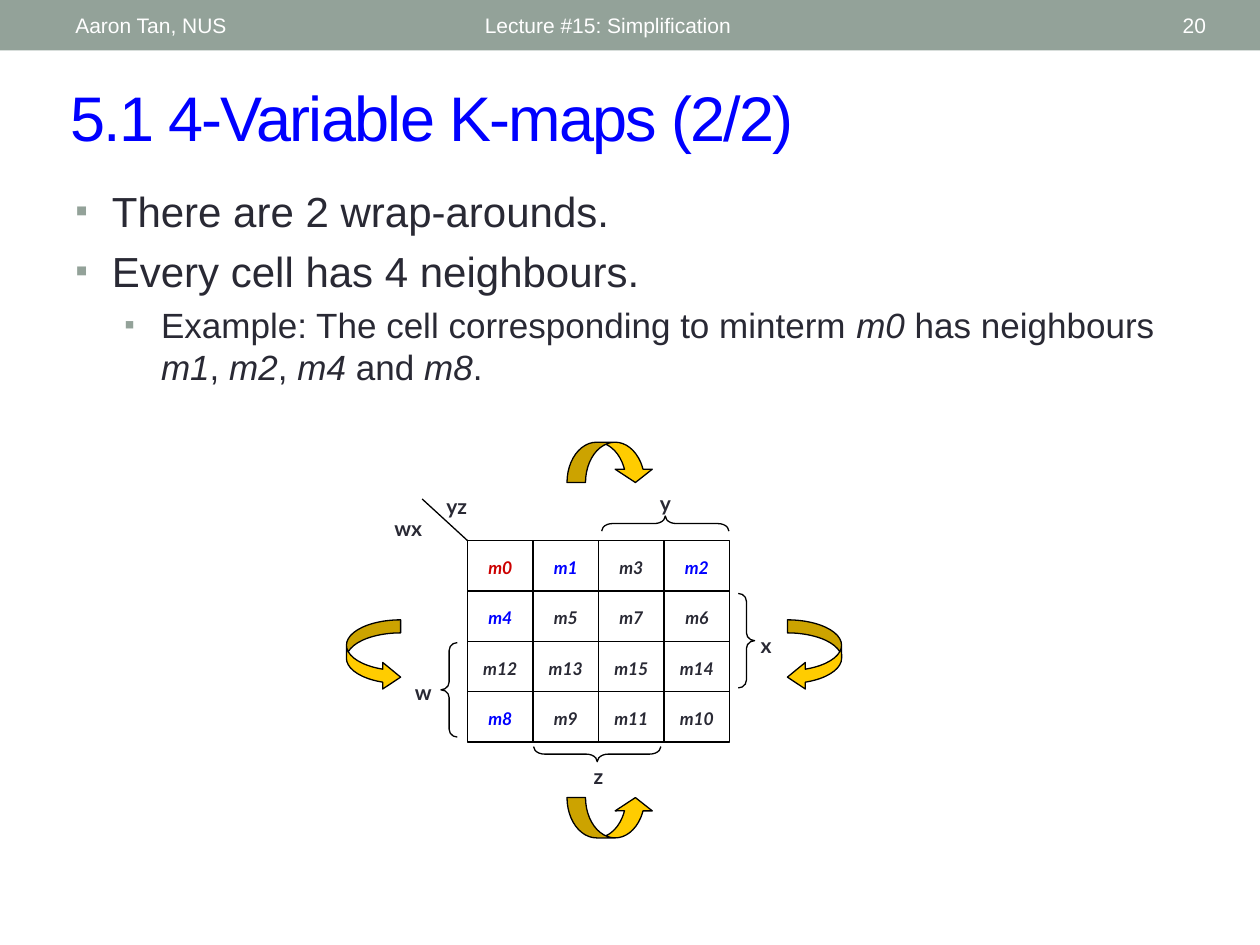
from typing import NamedTuple

from lxml import etree
from pptx import Presentation
from pptx import util as u
from pptx.dml.color import RGBColor
from pptx.enum import shapes, text
from pptx.oxml import ns

SAGE, INK, BLUE, RED = "93A299", "292934", "0000FF", "CC0000"
GOLD, BLACK, WHITE = "FFCC00", "000000", "FFFFFF"
ALIGN = text.PP_ALIGN
KIND = shapes.MSO_SHAPE


class Box(NamedTuple):
    x: float
    y: float
    w: float
    h: float


class Label(NamedTuple):
    text: str
    box: Box


class Figure(NamedTuple):
    kind: shapes.MSO_SHAPE
    box: Box
    adj: tuple
    rotation: int = 0
    flip: str = ""
    fill: str = ""


class Bullet(NamedTuple):
    runs: list
    size: int
    indent: float
    before: float


GRID = Box(3.71, 4.29, 2.08, 1.6)
CELL_W, CELL_H = GRID.w / 4, GRID.h / 4
MINTERMS = [[0, 1, 3, 2], [4, 5, 7, 6], [12, 13, 15, 14], [8, 9, 11, 10]]
CELL_COLORS = {0: RED, 1: BLUE, 2: BLUE, 4: BLUE, 8: BLUE}

VARIABLES = [
    Label("w", Box(3.17, 5.34, 0.38, 0.32)),
    Label("x", Box(5.89, 4.97, 0.38, 0.32)),
    Label("y", Box(5.09, 3.84, 0.38, 0.25)),
    Label("z", Box(4.56, 6.01, 0.38, 0.24)),
    Label("wx", Box(2.92, 4.04, 0.64, 0.29)),
    Label("yz", Box(3.4, 3.87, 0.45, 0.25)),
]

SIDE_ADJ, END_ADJ = (0.24, 0.49, 0.33), (0.46, 0.92, 0.33)
FIGURES = [
    Figure(KIND.LEFT_BRACE, Box(3.5, 5.1, 0.13, 0.75), (0.48, 0.5)),
    Figure(KIND.LEFT_BRACE, Box(5.86, 4.71, 0.13, 0.75), (0.48, 0.5), flip="flipH"),
    Figure(KIND.LEFT_BRACE, Box(5.22, 3.65, 0.12, 1.01), (0.72, 0.5), 90, "flipV"),
    Figure(KIND.LEFT_BRACE, Box(4.68, 5.48, 0.12, 1.01), (0.73, 0.5), 270),
    Figure(KIND.CURVED_RIGHT_ARROW, Box(2.75, 4.92, 0.43, 0.56), SIDE_ADJ, fill=GOLD),
    Figure(KIND.CURVED_RIGHT_ARROW, Box(6.25, 4.92, 0.43, 0.56), SIDE_ADJ, 0, "flipH", GOLD),
    Figure(KIND.CURVED_UP_ARROW, Box(4.5, 6.33, 0.69, 0.32), END_ADJ, fill=GOLD),
    Figure(KIND.CURVED_UP_ARROW, Box(4.5, 3.51, 0.69, 0.32), END_ADJ, 0, "flipV", GOLD),
]

BULLETS = [
    Bullet(["There are 2 wrap-arounds."], 24, 0.29, 0),
    Bullet(["Every cell has 4 neighbours."], 24, 0.29, 5.5),
    Bullet(["Example: The cell corresponding to minterm ", "m0", " has neighbours ",
            "m1", ", ", "m2", ", ", "m4", " and ", "m8", "."], 20, 0.68, 4.6),
]


def rgb(value: str) -> RGBColor:
    return RGBColor.from_string(value)


def inches(values: tuple) -> list:
    return [u.Inches(v) for v in values]


def add_run(p, content: str, *, size=12, color=INK, font="Arial",
            bold=False, italic=False, spacing=0) -> None:
    r = p.add_run()
    r.text = content
    f = r.font
    f.size, f.name, f.bold, f.italic = u.Pt(size), font, bold, italic
    f.color.rgb = rgb(color)
    if spacing:
        r._r.get_or_add_rPr().set("spc", str(spacing))


def add_frame(s, box: Box, anchor=text.MSO_ANCHOR.TOP):
    tf = s.shapes.add_textbox(*inches(box)).text_frame
    tf.word_wrap = True
    tf.vertical_anchor = anchor
    return tf


def add_text(s, content: str, box: Box, *, align=ALIGN.LEFT,
             anchor=text.MSO_ANCHOR.TOP, **style) -> None:
    p = add_frame(s, box, anchor).paragraphs[0]
    p.alignment = align
    add_run(p, content, **style)


def add_figure(s, fig: Figure, line: str = BLACK) -> None:
    sp = s.shapes.add_shape(fig.kind, *inches(fig.box))
    sp.shadow.inherit = False
    sp.rotation = fig.rotation
    for i, value in enumerate(fig.adj):
        sp.adjustments[i] = value
    if fig.flip:
        sp._element.spPr.get_or_add_xfrm().set(fig.flip, "1")
    if fig.fill:
        sp.fill.solid()
        sp.fill.fore_color.rgb = rgb(fig.fill)
    else:
        sp.fill.background()
    if line:
        sp.line.color.rgb = rgb(line)
        sp.line.width = u.Pt(0.75)
    else:
        sp.line.fill.background()


def add_line(s, x1: float, y1: float, x2: float, y2: float) -> None:
    ends = inches((x1, y1, x2, y2))
    c = s.shapes.add_connector(shapes.MSO_CONNECTOR.STRAIGHT, *ends)
    c.line.color.rgb = rgb(BLACK)
    c.line.width = u.Pt(0.75)
    etree.SubElement(c._element.spPr, ns.qn("a:effectLst"))


def add_bullet(p, bullet: Bullet) -> None:
    pPr = p._p.get_or_add_pPr()
    pPr.set("marL", str(u.Inches(bullet.indent)))
    pPr.set("indent", str(u.Inches(-0.29)))
    clr = etree.SubElement(pPr, ns.qn("a:buClr"))
    etree.SubElement(clr, ns.qn("a:srgbClr"), val=SAGE)
    etree.SubElement(pPr, ns.qn("a:buSzPct"), val="85000")
    etree.SubElement(pPr, ns.qn("a:buFont"), typeface="Arial")
    etree.SubElement(pPr, ns.qn("a:buChar"), char="▪")
    p.space_before = u.Pt(bullet.before)
    for i, content in enumerate(bullet.runs):
        add_run(p, content, size=bullet.size, italic=content.startswith("m"))


def add_header(s) -> None:
    add_figure(s, Figure(KIND.RECTANGLE, Box(0, 0, 10, 0.4), (), fill=SAGE), line="")
    for content, x, w, align in [
        ("Aaron Tan, NUS", 0.5, 3.17, ALIGN.LEFT),
        ("Lecture #15: Simplification", 3.75, 4.5, ALIGN.LEFT),
        ("20", 8.72, 0.95, ALIGN.RIGHT),
    ]:
        add_text(s, content, Box(x, 0.02, w, 0.36), align=align,
                 anchor=text.MSO_ANCHOR.MIDDLE, color=WHITE)


def add_kmap(s) -> None:
    add_figure(s, Figure(KIND.RECTANGLE, GRID, ()))
    for i in range(1, 4):
        x, y = GRID.x + i * CELL_W, GRID.y + i * CELL_H
        add_line(s, x, GRID.y, x, GRID.y + GRID.h)
        add_line(s, GRID.x, y, GRID.x + GRID.w, y)
    add_line(s, GRID.x, GRID.y, 3.35, 3.96)
    for row, terms in enumerate(MINTERMS):
        for col, term in enumerate(terms):
            box = Box(GRID.x + col * CELL_W, GRID.y + row * CELL_H + 0.08, CELL_W, 0.32)
            add_text(s, f"m{term}", box, align=ALIGN.CENTER, size=10, font="Lato",
                     color=CELL_COLORS.get(term, INK), bold=True, italic=True)
    for label in VARIABLES:
        add_text(s, label.text, label.box, align=ALIGN.CENTER, font="Lato", bold=True)
    for fig in FIGURES:
        add_figure(s, fig)


def main() -> None:
    prs = Presentation()
    prs.slide_width, prs.slide_height = u.Inches(10), u.Inches(7.5)
    s = prs.slides.add_slide(prs.slide_layouts[6])
    add_header(s)
    add_text(s, "5.1 4-Variable K-maps (2/2)", Box(0.46, 0.57, 9.07, 0.7),
             anchor=text.MSO_ANCHOR.MIDDLE, size=36, color=BLUE, spacing=-100)
    tf = add_frame(s, Box(0.5, 1.42, 9, 1.96))
    for i, bullet in enumerate(BULLETS):
        add_bullet(tf.add_paragraph() if i else tf.paragraphs[0], bullet)
    add_kmap(s)
    prs.save("out.pptx")


if __name__ == "__main__":
    main()
